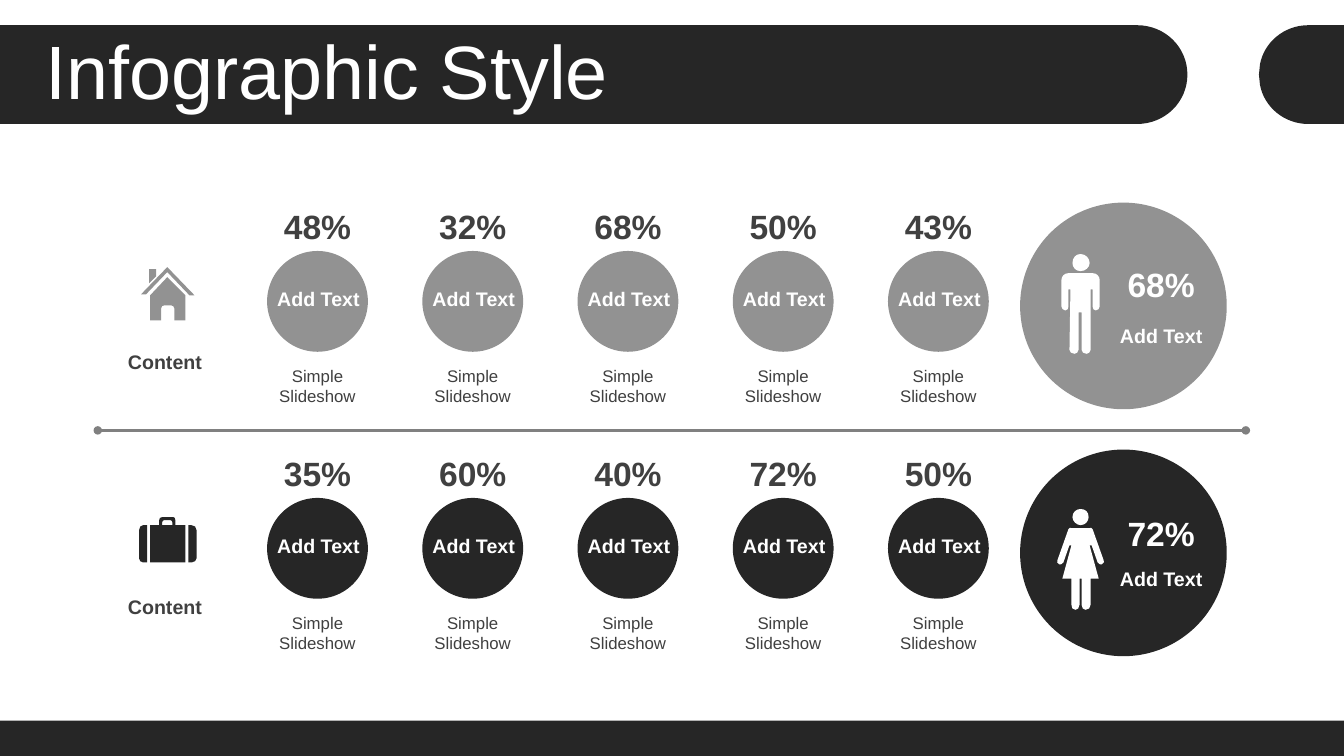
from lxml.etree import SubElement
from pptx import Presentation
from pptx.dml.color import RGBColor
from pptx.enum.shapes import MSO_CONNECTOR, MSO_SHAPE
from pptx.enum.text import MSO_ANCHOR as ANCHOR, PP_ALIGN as ALIGN
from pptx.oxml.ns import qn
from pptx.util import Inches, Pt

DARK = RGBColor(0x26, 0x26, 0x26)
GRAY = RGBColor(0x92, 0x92, 0x92)
LINE_GRAY = RGBColor(0x80, 0x80, 0x80)
TEXT_GRAY = RGBColor(0x40, 0x40, 0x40)
WHITE = RGBColor(0xFF, 0xFF, 0xFF)
SLIDE_HEIGHT = 7.5
SLIDE_WIDTH = SLIDE_HEIGHT * 16 / 9

# An outline is a list of contours. Two numbers are a corner,
# six are a curve: two control points and an end point.
TITLE_BAR = [[(0, 0.25), (11.28, 0.25), (11.56, 0.25, 11.78, 0.47, 11.78, 0.74),
              (11.78, 1.01, 11.56, 1.23, 11.28, 1.23), (0, 1.23)]]
RIGHT_BAR = [[(12.98, 0.25), (SLIDE_WIDTH, 0.25), (SLIDE_WIDTH, 1.23), (12.98, 1.23),
              (12.74, 1.23, 12.54, 1.06, 12.5, 0.84), (12.49, 0.74), (12.5, 0.64),
              (12.54, 0.42, 12.74, 0.25, 12.98, 0.25)]]
MAN = [
    [(10.6, 2.71), (10.84, 2.71), (10.88, 2.71, 10.91, 2.74, 10.91, 2.78),
     (10.91, 3.04), (10.91, 3.06, 10.89, 3.08, 10.87, 3.08),
     (10.85, 3.08, 10.84, 3.06, 10.84, 3.04), (10.84, 2.87), (10.82, 2.87),
     (10.82, 3.47), (10.82, 3.49, 10.8, 3.51, 10.78, 3.51),
     (10.75, 3.51, 10.73, 3.49, 10.73, 3.47), (10.73, 3.1), (10.7, 3.1),
     (10.7, 3.47), (10.7, 3.49, 10.68, 3.51, 10.66, 3.51),
     (10.63, 3.51, 10.61, 3.49, 10.61, 3.47), (10.62, 2.87), (10.6, 2.87),
     (10.6, 3.04), (10.6, 3.06, 10.59, 3.08, 10.57, 3.08),
     (10.55, 3.08, 10.53, 3.06, 10.53, 3.04), (10.53, 2.78),
     (10.53, 2.74, 10.56, 2.71, 10.6, 2.71)],
    [(10.72, 2.52), (10.77, 2.52, 10.81, 2.56, 10.81, 2.61),
     (10.81, 2.65, 10.77, 2.69, 10.72, 2.69),
     (10.67, 2.69, 10.64, 2.65, 10.64, 2.61),
     (10.64, 2.56, 10.67, 2.52, 10.72, 2.52)],
]
WOMAN = [
    [(10.64, 5.24), (10.8, 5.24), (10.83, 5.24, 10.83, 5.23, 10.84, 5.25),
     (10.95, 5.56), (10.96, 5.57, 10.95, 5.59, 10.93, 5.6),
     (10.92, 5.6, 10.9, 5.6, 10.89, 5.58), (10.83, 5.41), (10.81, 5.41),
     (10.9, 5.74), (10.82, 5.74), (10.82, 6), (10.82, 6.03, 10.8, 6.05, 10.77, 6.05),
     (10.75, 6.05, 10.73, 6.03, 10.73, 6), (10.73, 5.74), (10.71, 5.74),
     (10.71, 6), (10.71, 6.03, 10.69, 6.05, 10.67, 6.05),
     (10.64, 6.05, 10.63, 6.03, 10.63, 6), (10.63, 5.74), (10.54, 5.74),
     (10.63, 5.41), (10.61, 5.41), (10.55, 5.58),
     (10.54, 5.6, 10.52, 5.6, 10.51, 5.6), (10.49, 5.59, 10.48, 5.57, 10.49, 5.56),
     (10.6, 5.25), (10.61, 5.23, 10.61, 5.24, 10.64, 5.24)],
    [(10.72, 5.05), (10.77, 5.05, 10.8, 5.08, 10.8, 5.13),
     (10.8, 5.17, 10.77, 5.21, 10.72, 5.21),
     (10.68, 5.21, 10.64, 5.17, 10.64, 5.13),
     (10.64, 5.08, 10.68, 5.05, 10.72, 5.05)],
]
HOUSE = [
    [(1.66, 2.75), (1.84, 2.93), (1.84, 3.18), (1.73, 3.18), (1.73, 3.06),
     (1.73, 3.04, 1.71, 3.03, 1.7, 3.03), (1.63, 3.03),
     (1.61, 3.03, 1.6, 3.04, 1.6, 3.06), (1.6, 3.18), (1.49, 3.18), (1.49, 2.93)],
    [(1.48, 2.67), (1.55, 2.67), (1.55, 2.74), (1.48, 2.81)],
    [(1.66, 2.65), (1.93, 2.93), (1.88, 2.93), (1.66, 2.7), (1.45, 2.92), (1.4, 2.92)],
]
SUITCASE = [
    [(1.87, 5.21), (1.9, 5.21), (1.93, 5.21, 1.95, 5.23, 1.95, 5.26), (1.95, 5.54),
     (1.95, 5.56, 1.93, 5.58, 1.9, 5.58), (1.87, 5.58)],
    [(1.42, 5.21), (1.46, 5.21), (1.46, 5.58), (1.42, 5.58),
     (1.4, 5.58, 1.38, 5.56, 1.38, 5.54), (1.38, 5.26),
     (1.38, 5.23, 1.4, 5.21, 1.42, 5.21)],
    [(1.63, 5.16), (1.62, 5.16, 1.61, 5.17, 1.61, 5.18), (1.61, 5.21), (1.71, 5.21),
     (1.71, 5.18), (1.71, 5.17, 1.7, 5.16, 1.69, 5.16)],
    [(1.61, 5.13), (1.72, 5.13), (1.73, 5.13, 1.74, 5.14, 1.74, 5.16), (1.74, 5.21),
     (1.84, 5.21), (1.84, 5.58), (1.49, 5.58), (1.49, 5.21), (1.58, 5.21),
     (1.58, 5.16), (1.58, 5.14, 1.59, 5.13, 1.61, 5.13)],
]

TITLE = "Infographic Style"
ROWS = [
    {"values": ["48%", "32%", "68%", "50%", "43%"], "color": GRAY, "icon": HOUSE,
     "content_top": 3.42, "person": MAN, "total": "68%", "total_top": 2.57,
     "caption_top": 3.16},
    {"values": ["35%", "60%", "40%", "72%", "50%"], "color": DARK, "icon": SUITCASE,
     "content_top": 5.85, "person": WOMAN, "total": "72%", "total_top": 5.04,
     "caption_top": 5.58},
]
COLUMN_STEP, ROW_STEP = 1.54, 2.45

presentation = Presentation()
presentation.slide_width = Inches(SLIDE_WIDTH)
presentation.slide_height = Inches(SLIDE_HEIGHT)
slide = presentation.slides.add_slide(presentation.slide_layouts[6])


def paint(shape, color):
    shape.shadow.inherit = False
    shape.fill.solid()
    shape.fill.fore_color.rgb = color
    shape.line.fill.background()


def add_filled(kind, left, top, width, height, color):
    shape = slide.shapes.add_shape(kind, *map(Inches, (left, top, width, height)))
    paint(shape, color)


def add_outline(contours, color):
    """Draw the contours as one freeform, bending its lines into curves where asked."""
    ends = [[tuple(map(Inches, node[-2:])) for node in contour] for contour in contours]
    builder = slide.shapes.build_freeform(*ends[0][0])
    builder.add_line_segments(ends[0][1:])
    for points in ends[1:]:
        builder.move_to(*points[0])
        builder.add_line_segments(points[1:])
    shape = builder.convert_to_shape()
    paint(shape, color)
    segments = list(shape._element.iter(qn("a:lnTo")))
    nodes = [node for contour in contours for node in contour[1:]]
    for segment, node in zip(segments, nodes):
        if len(node) == 6:
            end = segment[0]
            segment.tag = qn("a:cubicBezTo")
            for x, y in (node[0:2], node[2:4]):
                control = SubElement(segment, qn("a:pt"))
                control.set("x", str(Inches(x) - shape.left))
                control.set("y", str(Inches(y) - shape.top))
            segment.append(end)


def add_text(text, left, top, width, height, size=14, color=TEXT_GRAY, bold=True,
             align=ALIGN.CENTER, anchor=ANCHOR.TOP, line_spacing=None):
    box = slide.shapes.add_textbox(*map(Inches, (left, top, width, height)))
    frame = box.text_frame
    frame.word_wrap, frame.vertical_anchor = True, anchor
    paragraph = frame.paragraphs[0]
    paragraph.alignment, paragraph.line_spacing = align, line_spacing
    run = paragraph.add_run()
    run.text = text
    run.font.name, run.font.size, run.font.bold = "Arial", Pt(size), bold
    run.font.color.rgb = color


def add_divider(left, right, y):
    line = slide.shapes.add_connector(
        MSO_CONNECTOR.STRAIGHT, Inches(left), Inches(y), Inches(right), Inches(y))
    line.line.color.rgb, line.line.width = LINE_GRAY, Pt(2)
    for end in ("a:headEnd", "a:tailEnd"):
        SubElement(line.line._get_or_add_ln(), qn(end), type="oval")
    SubElement(line._element.spPr, qn("a:effectLst"))


add_outline(TITLE_BAR, DARK)
add_filled(MSO_SHAPE.RECTANGLE, 0, 7.15, SLIDE_WIDTH, 0.35, DARK)
add_outline(RIGHT_BAR, DARK)
add_text(TITLE, 0.35, 0.35, 12.66, 0.79, size=54, color=WHITE, bold=False,
         align=ALIGN.LEFT, anchor=ANCHOR.MIDDLE, line_spacing=0.9)
add_divider(0.97, 12.36, 4.27)

for row_index, row in enumerate(ROWS):
    drop = row_index * ROW_STEP
    add_outline(row["icon"], row["color"])
    add_text("Content", 1.17, row["content_top"], 1.01, 0.34, align=ALIGN.LEFT,
             anchor=ANCHOR.MIDDLE)
    for column, value in enumerate(row["values"]):
        shift = column * COLUMN_STEP
        add_filled(MSO_SHAPE.OVAL, 2.65 + shift, 2.49 + drop, 1, 1, row["color"])
        add_text(value, 2.64 + shift, 1.99 + drop, 1.02, 0.5, size=24,
                 anchor=ANCHOR.MIDDLE)
        add_text("Add Text", 2.53 + shift, 2.8 + drop, 1.26, 0.34, color=WHITE)
        add_text("Simple Slideshow", 2.52 + shift, 3.58 + drop, 1.26, 0.5, size=12,
                 bold=False)
    add_filled(MSO_SHAPE.OVAL, 10.12, 2.01 + drop, 2.05, 2.05, row["color"])
    add_outline(row["person"], WHITE)
    add_text(row["total"], 11.01, row["total_top"], 1.02, 0.5, size=24, color=WHITE,
             anchor=ANCHOR.MIDDLE)
    add_text("Add Text", 10.89, row["caption_top"], 1.26, 0.34, color=WHITE)

presentation.save("out.pptx")
